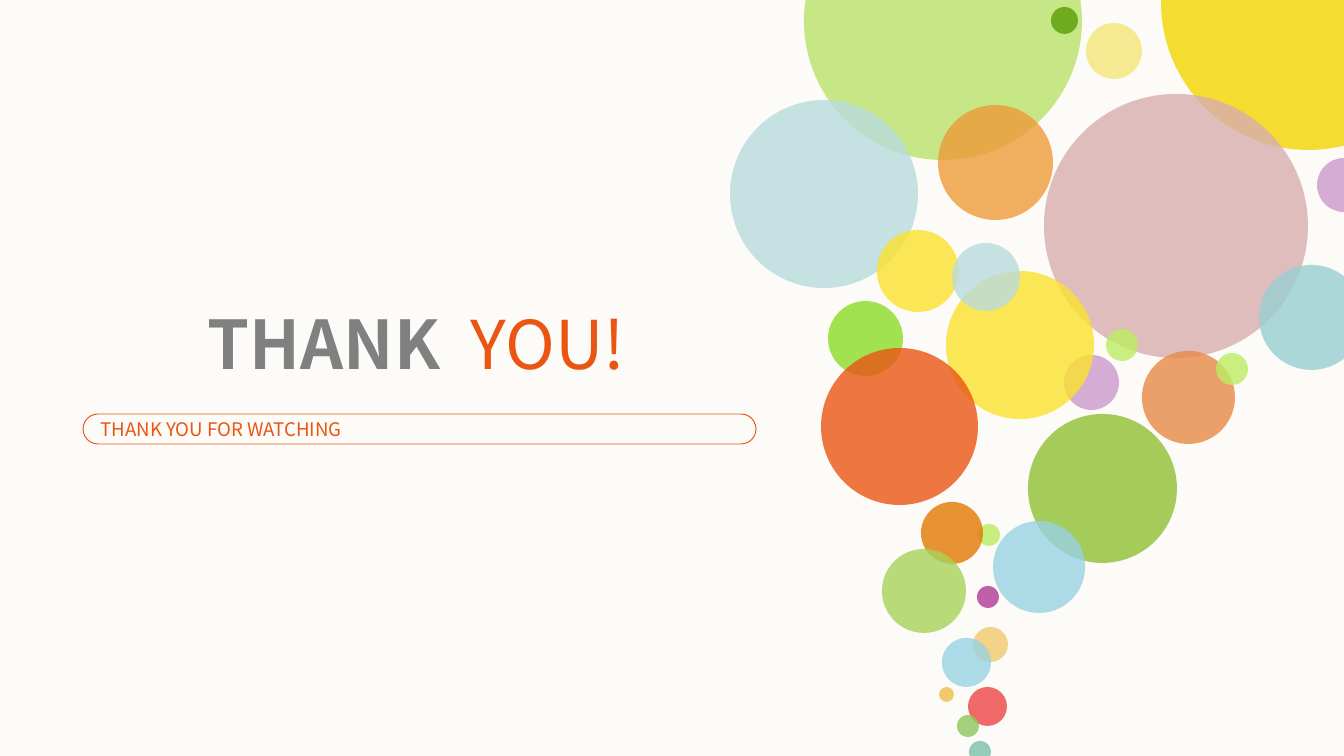
"""Build a closing thank-you slide with a rising cloud of coloured bubbles."""
from dataclasses import dataclass

from pptx import Presentation
from pptx import util as u
from pptx.dml.color import RGBColor
from pptx.enum import shapes, text
from pptx.oxml import ns, xmlchemy
from pptx.oxml import parse_xml

SCALE = 914400 / 134.4
FONT = "Noto Sans CJK SC"
ORANGE = "EA5514"
GREY = "808080"
BACKGROUND = "FCFBF7"


@dataclass(frozen=True)
class Bubble:
    """A circle given by its top left corner, diameter, colour and opacity."""
    left: int
    top: int
    diameter: int
    color: str
    opacity: int = 80


@dataclass(frozen=True)
class Span:
    """A piece of text with its font formats."""
    wording: str
    color: str
    formats: dict


BUBBLES = [
    Bubble(804, -118, 278, "BAE36B"),
    Bubble(1051, 7, 27, "6EAB1F", 100),
    Bubble(730, 100, 188, "B9DBDD"),
    Bubble(938, 105, 115, "ED9B38"),
    Bubble(1086, 23, 56, "F5EA91", 100),
    Bubble(1161, -145, 295, "F4D500"),
    Bubble(1044, 94, 264, "D8AEAF"),
    Bubble(1259, 265, 105, "99CED2"),
    Bubble(1317, 158, 54, "CB99CC"),
    Bubble(1142, 351, 93, "E78A47"),
    Bubble(1028, 414, 149, "A5CB5A", 100),
    Bubble(1216, 353, 32, "BDED63"),
    Bubble(1106, 329, 32, "BCED61"),
    Bubble(1064, 355, 55, "CB99CC"),
    Bubble(946, 271, 148, "FBE22D"),
    Bubble(877, 230, 82, "FBE22D"),
    Bubble(828, 301, 75, "8CDB27"),
    Bubble(978, 524, 22, "BCED60"),
    Bubble(977, 586, 22, "B03896"),
    Bubble(973, 627, 35, "F0CA6C"),
    Bubble(939, 687, 15, "F0CA6C", 100),
    Bubble(969, 741, 22, "7BBFAA"),
    Bubble(968, 687, 39, "EB4544"),
    Bubble(957, 715, 22, "8DC65B"),
    Bubble(942, 638, 49, "98D2E3"),
    Bubble(952, 243, 68, "B9DBDD"),
    Bubble(993, 521, 92, "98D2E3"),
    Bubble(921, 502, 62, "E27902"),
    Bubble(882, 549, 84, "A9D25A"),
    Bubble(821, 348, 157, ORANGE),
]
TITLE_SPANS = [
    Span("THANK ", GREY, {"name": FONT, "size": u.Pt(36), "bold": True}),
    Span(" YOU!", ORANGE, {"name": FONT, "size": u.Pt(36), "bold": False}),
]
BANNER_SPANS = [Span("THANK YOU FOR WATCHING", ORANGE, {"name": FONT, "size": u.Pt(10)})]


def px(length: int) -> int:
    """Turn pixels into EMU."""
    return round(length * SCALE)


def paint(color_holder, color: str) -> None:
    """Make a fill solid in a hex colour."""
    color_holder.solid()
    color_holder.fore_color.rgb = RGBColor.from_string(color)


def set_all(target, values: dict) -> None:
    """Set every attribute named in a dict of values."""
    for name, value in values.items():
        setattr(target, name, value)


def add_bubble(slide, bubble: Bubble) -> None:
    """Draw one borderless circle with its opacity."""
    shape = slide.shapes.add_shape(
        shapes.MSO_SHAPE.OVAL,
        *map(px, (bubble.left, bubble.top, bubble.diameter, bubble.diameter)))
    shape.shadow.inherit = False
    shape.line.fill.background()
    paint(shape.fill, bubble.color)
    if bubble.opacity < 100:
        color = next(shape.element.iter(ns.qn("a:srgbClr")))
        color.append(parse_xml(f'<a:alpha {ns.nsdecls("a")} val="{bubble.opacity * 1000}"/>'))


def write(shape, spans: list[Span], frame: dict, paragraph_formats: dict) -> None:
    """Write one formatted paragraph into a shape."""
    set_all(shape.text_frame, frame)
    paragraph = shape.text_frame.paragraphs[0]
    set_all(paragraph, paragraph_formats)
    for span in spans:
        run = paragraph.add_run()
        run.text = span.wording
        set_all(run.font, span.formats)
        paint(run.font.fill, span.color)


def add_title(slide) -> None:
    """Place the two-coloured title."""
    title = slide.shapes.title
    set_all(title, {"left": px(67), "top": px(308), "width": px(699), "height": px(95)})
    write(title, TITLE_SPANS,
          {"word_wrap": True, "auto_size": text.MSO_AUTO_SIZE.NONE,
           "vertical_anchor": text.MSO_ANCHOR.TOP, "margin_top": 0, "margin_bottom": 0},
          {"alignment": text.PP_ALIGN.CENTER, "line_spacing": 0.95})


def add_banner(slide) -> None:
    """Draw the outlined pill with the closing line."""
    banner = slide.shapes.add_shape(
        shapes.MSO_SHAPE.ROUNDED_RECTANGLE, px(83), px(414), px(673), px(30))
    banner.adjustments[0] = 0.5
    banner.shadow.inherit = False
    banner.fill.background()
    paint(banner.line.fill, ORANGE)
    banner.line.width = u.Pt(0.5)
    write(banner, BANNER_SPANS,
          {"word_wrap": True, "vertical_anchor": text.MSO_ANCHOR.MIDDLE,
           "margin_top": 0, "margin_bottom": 0},
          {"alignment": text.PP_ALIGN.JUSTIFY})


def main() -> None:
    """Build and save the presentation."""
    presentation = Presentation()
    set_all(presentation, {"slide_width": px(1344), "slide_height": px(756)})
    slide = presentation.slides.add_slide(presentation.slide_layouts[5])
    paint(slide.background.fill, BACKGROUND)
    for bubble in BUBBLES:
        add_bubble(slide, bubble)
    add_title(slide)
    add_banner(slide)
    presentation.save("out.pptx")


if __name__ == "__main__":
    main()
